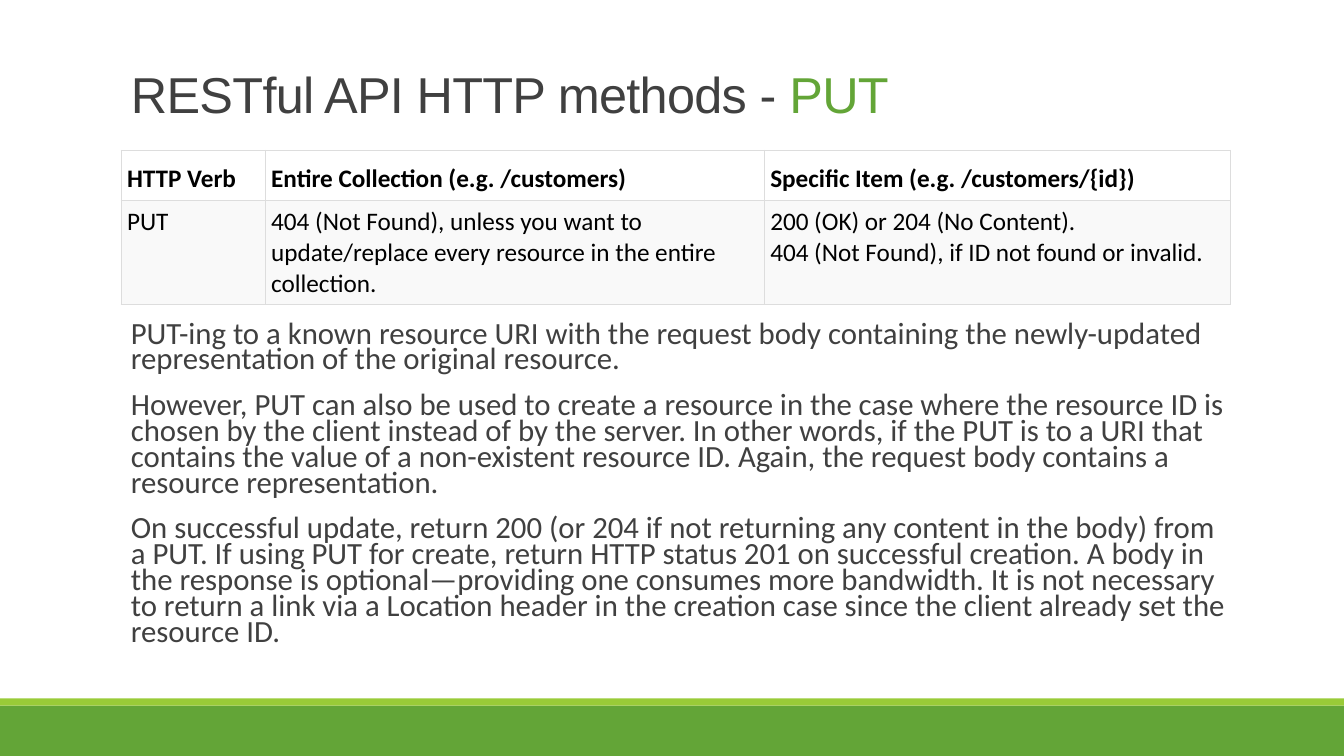
"""Build the slide on the PUT method of a RESTful API."""
from dataclasses import dataclass
from typing import NamedTuple

from lxml import etree
from pptx import Presentation
from pptx.dml.color import RGBColor
from pptx.enum.shapes import MSO_SHAPE
from pptx.enum.text import MSO_ANCHOR
from pptx.oxml.ns import qn
from pptx.util import Inches, Pt

RECTANGLE = MSO_SHAPE.RECTANGLE
TOP, BOTTOM = MSO_ANCHOR.TOP, MSO_ANCHOR.BOTTOM


@dataclass(frozen=True)
class Theme:
    green: str = "63A537"
    lime: str = "99CB38"
    ink: str = "404040"
    black: str = "000000"
    header_fill: str = "FFFFFF"
    row_fill: str = "F9F9F9"
    border: str = "DDDDDD"
    heading_font: str = "Arial"
    body_font: str = "Calibri"
    title_size: float = 36
    body_size: float = 22
    table_size: float = 18


class Area(NamedTuple):
    left: float
    top: float
    width: float
    height: float


class Band(NamedTuple):
    area: Area
    color: str


class Row(NamedTuple):
    height: float
    fill: str
    anchor: MSO_ANCHOR
    bold: bool
    cells: tuple[str, ...]


THEME = Theme()
WIDTH, HEIGHT = 13.33, 7.5
LEFT, CONTENT_WIDTH = 1.2, 11
CELL_INSET = 0.06

BANDS = (
    Band(Area(0, 7, WIDTH, 0.5), THEME.green),
    Band(Area(0, 6.93, WIDTH, 0.07), THEME.lime),
)
TITLE_AREA = Area(LEFT, 0.31, CONTENT_WIDTH, 0.97)
BODY_AREA = Area(LEFT, 3.16, CONTENT_WIDTH, 3.66)
COLUMN_WIDTHS = (1.43, 4.95, 4.62)
ROWS = (
    Row(0.5, THEME.header_fill, BOTTOM, True, (
        "HTTP Verb",
        "Entire Collection (e.g. /customers)",
        "Specific Item (e.g. /customers/{id})",
    )),
    Row(1.03, THEME.row_fill, TOP, False, (
        "PUT",
        "404 (Not Found), unless you want to update/replace every resource "
        "in the entire collection.",
        "200 (OK) or 204 (No Content).\n"
        "404 (Not Found), if ID not found or invalid.",
    )),
)
TABLE_AREA = Area(LEFT, 1.49, CONTENT_WIDTH, sum(row.height for row in ROWS))
EXPLANATION = (
    "PUT-ing to a known resource URI with the request body containing the "
    "newly-updated representation of the original resource.",
    "However, PUT can also be used to create a resource in the case where the "
    "resource ID is chosen by the client instead of by the server. In other "
    "words, if the PUT is to a URI that contains the value of a non-existent "
    "resource ID. Again, the request body contains a resource representation.",
    "On successful update, return 200 (or 204 if not returning any content in "
    "the body) from a PUT. If using PUT for create, return HTTP status 201 on "
    "successful creation. A body in the response is optional\u2014providing one "
    "consumes more bandwidth. It is not necessary to return a link via a "
    "Location header in the creation case since the client already set the "
    "resource ID.",
)


def place(area: Area) -> tuple:
    return tuple(Inches(length) for length in area)


def add_span(para, text: str, *, size: float, color: str, font: str = THEME.body_font,
             bold: bool = False, tracking: float = 0) -> None:
    span = para.add_run()
    span.text = text
    span.font.size = Pt(size)
    span.font.name = font
    span.font.bold = bold
    span.font.color.rgb = RGBColor.from_string(color)
    if tracking:
        span.font._element.set("spc", str(round(tracking * 100)))


def next_para(frame, index: int):
    return frame.add_paragraph() if index else frame.paragraphs[0]


def add_frame(page, area: Area, anchor: MSO_ANCHOR):
    frame = page.shapes.add_textbox(*place(area)).text_frame
    frame.word_wrap = True
    frame.vertical_anchor = anchor
    return frame


def add_band(page, band: Band) -> None:
    shape = page.shapes.add_shape(RECTANGLE, *place(band.area))
    shape.shadow.inherit = False
    shape.fill.solid()
    shape.fill.fore_color.rgb = RGBColor.from_string(band.color)
    shape.line.fill.background()


def add_title(page) -> None:
    para = add_frame(page, TITLE_AREA, BOTTOM).paragraphs[0]
    para.line_spacing = 0.85
    for text, color in (("RESTful API HTTP methods - ", THEME.ink), ("PUT", THEME.green)):
        add_span(para, text, size=THEME.title_size, color=color,
                 font=THEME.heading_font, tracking=-0.5)


def add_explanation(page) -> None:
    frame = add_frame(page, BODY_AREA, TOP)
    frame.margin_right = 0
    for index, text in enumerate(EXPLANATION):
        para = next_para(frame, index)
        para.line_spacing = 0.7
        para.space_before = Pt(12)
        para.space_after = Pt(2)
        add_span(para, text, size=THEME.body_size, color=THEME.ink)


def add_borders(cell) -> None:
    properties = cell._tc.get_or_add_tcPr()
    for index, side in enumerate(("a:lnL", "a:lnR", "a:lnT", "a:lnB")):
        line = etree.Element(qn(side), w=str(Pt(0.75)))
        fill = etree.SubElement(line, qn("a:solidFill"))
        etree.SubElement(fill, qn("a:srgbClr"), val=THEME.border)
        properties.insert(index, line)


def fill_cell(cell, text: str, row: Row) -> None:
    cell.margin_left = cell.margin_right = Inches(CELL_INSET)
    cell.margin_top = cell.margin_bottom = Inches(CELL_INSET)
    cell.vertical_anchor = row.anchor
    cell.fill.solid()
    cell.fill.fore_color.rgb = RGBColor.from_string(row.fill)
    add_borders(cell)
    for index, line in enumerate(text.split("\n")):
        add_span(next_para(cell.text_frame, index), line, size=THEME.table_size,
                 color=THEME.black, bold=row.bold)


def add_methods_table(page) -> None:
    table = page.shapes.add_table(len(ROWS), len(COLUMN_WIDTHS), *place(TABLE_AREA)).table
    table.horz_banding = False
    for column, width in zip(table.columns, COLUMN_WIDTHS):
        column.width = Inches(width)
    for table_row, row in zip(table.rows, ROWS):
        table_row.height = Inches(row.height)
        for cell, text in zip(table_row.cells, row.cells):
            fill_cell(cell, text, row)


def main() -> None:
    deck = Presentation()
    deck.slide_width, deck.slide_height = Inches(WIDTH), Inches(HEIGHT)
    page = deck.slides.add_slide(deck.slide_layouts[6])
    for band in BANDS:
        add_band(page, band)
    add_title(page)
    add_explanation(page)
    add_methods_table(page)
    deck.save("out.pptx")


main()
